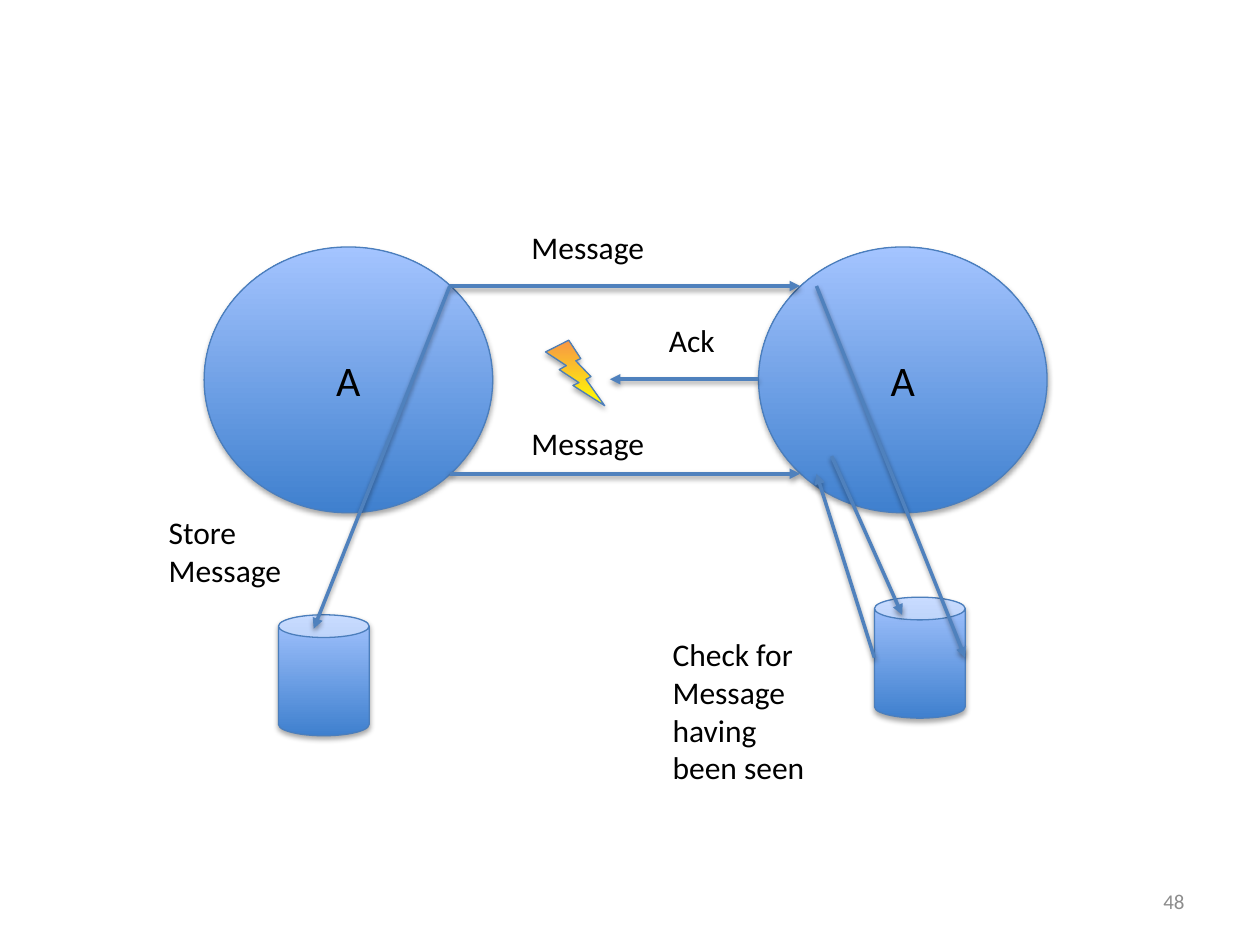
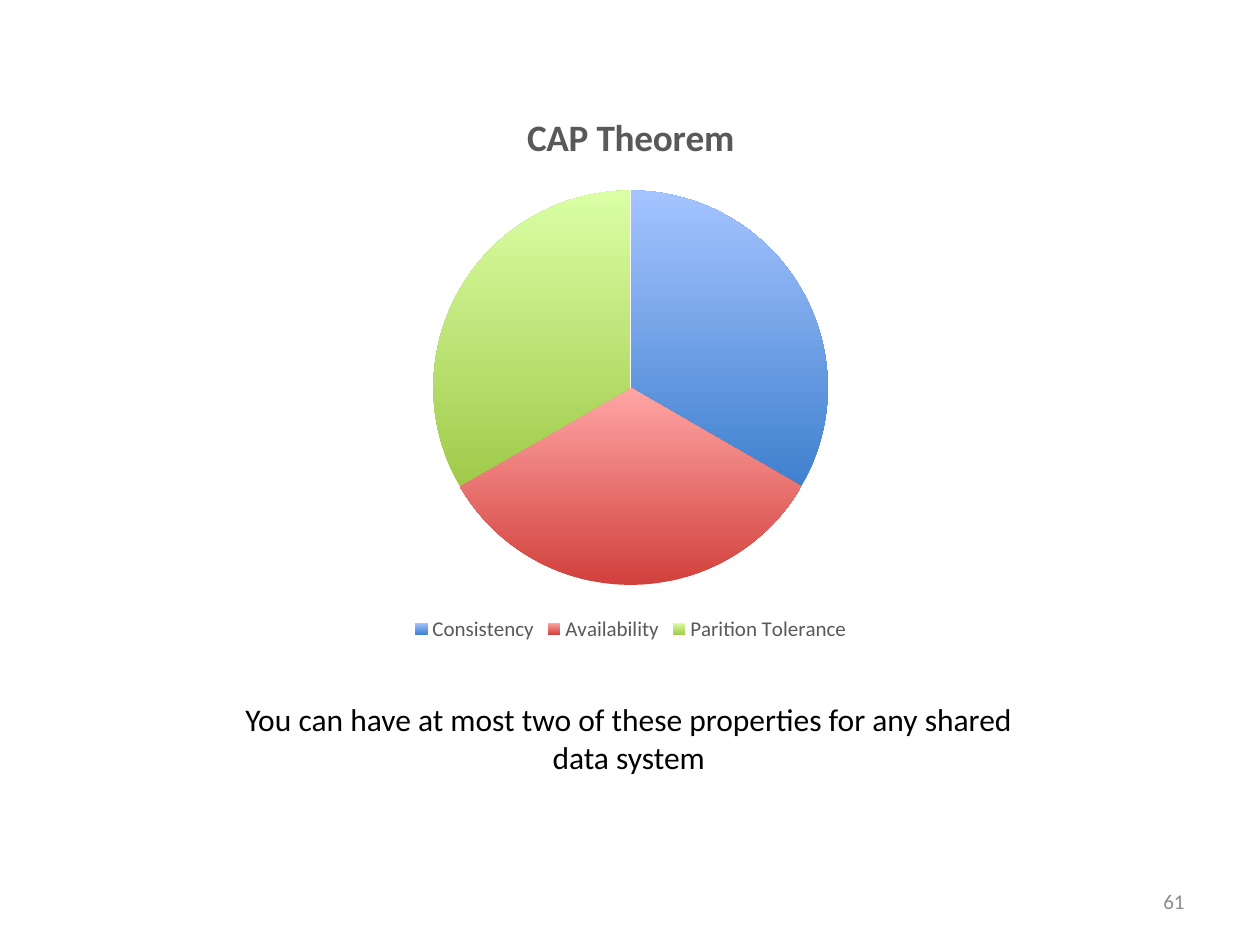
from lxml import etree
from pptx import Presentation
from pptx.chart.data import CategoryChartData
from pptx.dml.color import RGBColor
from pptx.enum import chart as charts, shapes, text
from pptx.oxml.ns import qn
from pptx.util import Inches, Pt

# Shared look
FONT = "Calibri"
BLACK, GREY, TITLE_GREY = "000000", "8C8C8C", "595959"
OUTLINE, ARROW = "4B7EBC", "4F81BD"
BLUE, RED, GREEN = ("3F80CE", "A4C4FF"), ("D1403C", "FFA6A5"), ("A0CA4A", "DAFFA5")
FLAME = ("FFFF00", "F79646")
LEFT, CENTER, RIGHT = text.PP_ALIGN.LEFT, text.PP_ALIGN.CENTER, text.PP_ALIGN.RIGHT
OVAL, CAN, BOLT = (shapes.MSO_SHAPE.OVAL, shapes.MSO_SHAPE.CAN,
                   shapes.MSO_SHAPE.LIGHTNING_BOLT)

# Message exchange: two nodes, their stores and the lost acknowledgement
NODE_SIZE, STORE_SIZE = (2.29, 2.11), (0.72, 0.96)
SEND_Y, ACK_Y, RESEND_Y = 2.27, 3.01, 3.76
SENDER_X, RECEIVER_X = 3.57, 6.35
FIGURES = [  # kind, position, size, gradient, caption
    (OVAL, (1.62, 1.96), NODE_SIZE, BLUE, "A"),
    (OVAL, (6.02, 1.96), NODE_SIZE, BLUE, "A"),
    (BOLT, (4.33, 2.7), (0.47, 0.52), FLAME, ""),
    (CAN, (6.94, 4.74), STORE_SIZE, BLUE, ""),
    (CAN, (2.21, 4.88), STORE_SIZE, BLUE, ""),
]
ARROWS = [  # from, to
    ((SENDER_X, SEND_Y), (RECEIVER_X, SEND_Y)),
    ((6.02, ACK_Y), (4.84, ACK_Y)),
    ((SENDER_X, RESEND_Y), (RECEIVER_X, RESEND_Y)),
    ((6.6, 3.62), (7.16, 4.88)),
    ((6.48, SEND_Y), (7.66, 5.22)),
    ((6.94, 5.22), (6.48, RESEND_Y)),
    ((SENDER_X, SEND_Y), (2.49, 4.99)),
]
LABELS = [
    ("Message", (4.12, 1.76, 1.67, 0.4)),
    ("Message", (4.12, 3.32, 1.67, 0.4)),
    ("Ack", (5.21, 2.5, 0.59, 0.4)),
    ("Check for Message having been seen", (5.24, 4.99, 1.3, 1.31)),
    ("Store Message", (1.24, 4.02, 1.56, 0.71)),
]

# CAP theorem pie
PIE_TITLE = "CAP Theorem"
PIE_SLICES = [("Consistency", 33, BLUE), ("Availability", 33, RED),
              ("Parition Tolerance", 33, GREEN)]
PIE_NOTE = "You can have at most two of these properties for any shared data system"


def rgb(value):
    return RGBColor.from_string(value)


def style_font(font, size, color, bold=False):
    font.name, font.size, font.bold = FONT, Pt(size), bold
    font.color.rgb = rgb(color)


def write(sp, content, size=18, color=BLACK, align=LEFT, anchor=text.MSO_ANCHOR.TOP):
    tf = sp.text_frame
    tf.word_wrap, tf.vertical_anchor = True, anchor
    tf.text = content
    p = tf.paragraphs[0]
    p.alignment = align
    for r in p.runs:
        style_font(r.font, size, color)


def add_text(s, content, box, **look):
    write(s.shapes.add_textbox(*map(Inches, box)), content, **look)


def fill_upward(fill, colors):
    """Vertical gradient, first colour at the bottom."""
    fill.gradient()
    fill.gradient_angle = 90
    for stop, color in zip(fill.gradient_stops, colors):
        stop.color.rgb = rgb(color)


def add_shadow(sp, opacity, distance):
    effects = etree.SubElement(sp._element.spPr, qn("a:effectLst"))
    shadow = etree.SubElement(effects, qn("a:outerShdw"), blurRad=str(Pt(3.1)),
                              dist=str(Pt(distance)), dir="5400000", rotWithShape="0")
    color = etree.SubElement(shadow, qn("a:srgbClr"), val=BLACK)
    etree.SubElement(color, qn("a:alpha"), val=str(opacity * 1000))


def add_figure(s, kind, position, size, colors, caption):
    sp = s.shapes.add_shape(kind, *map(Inches, position + size))
    fill_upward(sp.fill, colors)
    sp.line.color.rgb, sp.line.width = rgb(OUTLINE), Pt(0.75)
    add_shadow(sp, 35, 1.8)
    if caption:
        write(sp, caption, 24, align=CENTER, anchor=text.MSO_ANCHOR.MIDDLE)


def add_arrow(s, start, end):
    line = s.shapes.add_connector(shapes.MSO_CONNECTOR.STRAIGHT, *map(Inches, start + end))
    line.line.color.rgb, line.line.width = rgb(ARROW), Pt(2)
    etree.SubElement(line.line._get_or_add_ln(), qn("a:tailEnd"), type="triangle")
    add_shadow(line, 38, 1.6)


def add_pie(s, box):
    data = CategoryChartData()
    data.categories = [name for name, _, _ in PIE_SLICES]
    data.add_series(PIE_TITLE, [value for _, value, _ in PIE_SLICES])
    chart = s.shapes.add_chart(charts.XL_CHART_TYPE.PIE, *map(Inches, box), data).chart
    style_font(chart.font, 10, BLACK)
    chart.has_title = True
    chart.chart_title.include_in_layout = False
    chart.chart_title.text_frame.text = PIE_TITLE
    style_font(chart.chart_title.text_frame.paragraphs[0].runs[0].font, 21.3, TITLE_GREY, True)
    chart.has_legend = True
    chart.legend.position = charts.XL_LEGEND_POSITION.BOTTOM
    chart.legend.include_in_layout = False
    style_font(chart.legend.font, 12, TITLE_GREY)
    plot = chart.plots[0]
    plot.vary_by_categories = True
    for i, (_, _, colors) in enumerate(PIE_SLICES):
        fill_upward(plot.series[0].points[i].format.fill, colors)


def add_slide(prs, number):
    s = prs.slides.add_slide(prs.slide_layouts[6])
    add_text(s, number, (7.17, 6.95, 2.33, 0.4), size=12, color=GREY, align=RIGHT,
             anchor=text.MSO_ANCHOR.MIDDLE)
    return s


def main():
    prs = Presentation()
    prs.slide_width, prs.slide_height = Inches(10), Inches(7.5)

    # Message exchange
    s = add_slide(prs, "48")
    for figure in FIGURES:
        add_figure(s, *figure)
    for arrow in ARROWS:
        add_arrow(s, *arrow)
    for content, box in LABELS:
        add_text(s, content, box)

    # CAP theorem
    s = add_slide(prs, "61")
    add_pie(s, (1.67, 0.69, 6.67, 4.44))
    add_text(s, PIE_NOTE, (1.82, 5.51, 6.34, 0.71), align=CENTER)

    prs.save("out.pptx")


if __name__ == "__main__":
    main()
